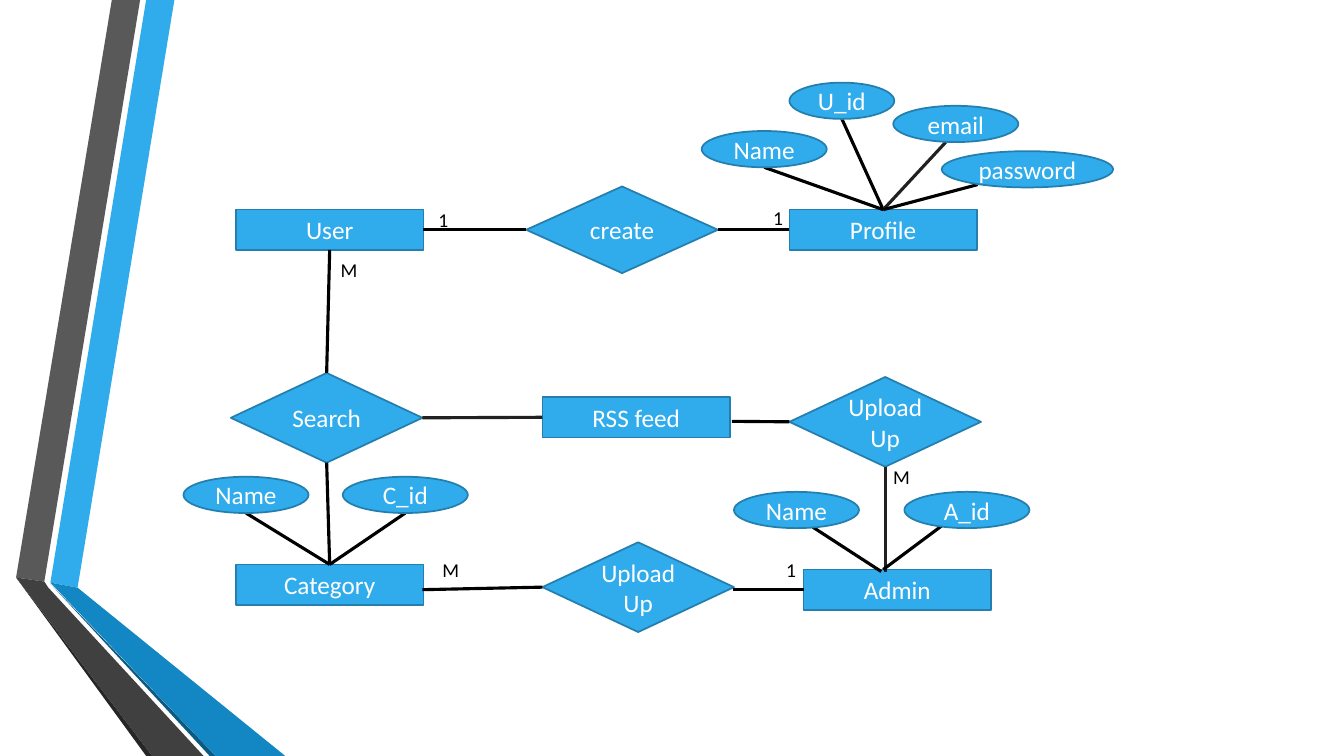
"""Entity-relationship diagram of an RSS feed application."""
from dataclasses import dataclass

import lxml.etree
import pptx
import pptx.dml.color
import pptx.enum.shapes
import pptx.enum.text
import pptx.oxml.ns
import pptx.util

SHAPE = pptx.enum.shapes.MSO_SHAPE
TOP, LEFT, BOTTOM, RIGHT = range(4)
CELL = pptx.util.Inches(0.1)
ENTITY_SIZE = (18.6, 4)
RELATION_SIZE = (19, 8.9)
ATTRIBUTE_WIDTH, ATTRIBUTE_HEIGHT = 12.4, 3.6
LABEL_SIZE = (4, 3.4)


@dataclass(frozen=True)
class Theme:
    """Colours, font and type sizes of the slide."""
    blue: str = "30ACEC"
    blue_edge: str = "247FAF"
    blue_fold: str = "1287C3"
    blue_shade: str = "0C5A82"
    grey: str = "595959"
    grey_fold: str = "404040"
    grey_shade: str = "262626"
    link: str = "000000"
    soft_link: str = "212121"
    node_text: str = "FFFFFF"
    font: str = "Calibri"
    node_size: float = 18
    label_size: float = 14
    edge_width: float = 1.25
    link_width: float = 2.25


THEME = Theme()


def rgb(code):
    """Turn a hex code into a colour."""
    return pptx.dml.color.RGBColor.from_string(code)


@dataclass(frozen=True)
class Box:
    """A region whose corner is given in grid columns and rows."""
    shapes: object
    column: float
    row: float

    def point(self, column, row):
        """Give the slide position of a grid point in the region."""
        return round((self.column + column) * CELL), round((self.row + row) * CELL)

    def area(self, column, row, width, height):
        """Give position and size of a part of the region."""
        return *self.point(column, row), round(width * CELL), round(height * CELL)


def write(paragraph, words, size, colour):
    """Add one run in the theme font."""
    run = paragraph.add_run()
    run.text = words
    run.font.name = THEME.font
    run.font.size = pptx.util.Pt(size)
    run.font.color.rgb = rgb(colour)


def node(box, preset, words, corner, size):
    """Draw a filled shape with centred words."""
    figure = box.shapes.add_shape(preset, *box.area(*corner, *size))
    figure.shadow.inherit = False
    figure.fill.solid()
    figure.fill.fore_color.rgb = rgb(THEME.blue)
    figure.line.color.rgb = rgb(THEME.blue_edge)
    figure.line.width = pptx.util.Pt(THEME.edge_width)
    frame = figure.text_frame
    frame.word_wrap = True
    frame.vertical_anchor = pptx.enum.text.MSO_ANCHOR.MIDDLE
    paragraph = frame.paragraphs[0]
    paragraph.alignment = pptx.enum.text.PP_ALIGN.CENTER
    write(paragraph, words, THEME.node_size, THEME.node_text)
    return figure


def entity(box, words, *corner):
    """Draw an entity rectangle."""
    return node(box, SHAPE.RECTANGLE, words, corner, ENTITY_SIZE)


def relation(box, words, *corner, size=RELATION_SIZE):
    """Draw a relationship diamond."""
    return node(box, SHAPE.DIAMOND, words, corner, size)


def link(box, start, end, colour=THEME.link):
    """Draw a line between grid points or (node, side) pairs."""
    connector = box.shapes.add_connector(
        pptx.enum.shapes.MSO_CONNECTOR.STRAIGHT, 0, 0, 0, 0)
    if isinstance(start[0], (int, float)):
        connector.begin_x, connector.begin_y = box.point(*start)
    else:
        connector.begin_connect(*start)
    if isinstance(end[0], (int, float)):
        connector.end_x, connector.end_y = box.point(*end)
    else:
        connector.end_connect(*end)
    connector.line.color.rgb = rgb(colour)
    connector.line.width = pptx.util.Pt(THEME.link_width)
    lxml.etree.SubElement(connector._element.spPr, pptx.oxml.ns.qn("a:effectLst"))


def attribute(box, words, column, row, owner, width=ATTRIBUTE_WIDTH,
              foot=(0.5, 1), colour=THEME.link):
    """Draw an attribute ellipse and the line from its foot to its owner."""
    start = column + foot[0] * width, row + foot[1] * ATTRIBUTE_HEIGHT
    link(box, start, owner, colour)
    node(box, SHAPE.OVAL, words, (column, row), (width, ATTRIBUTE_HEIGHT))


def cardinality(box, words, *corner):
    """Write a cardinality beside a line."""
    label = box.shapes.add_textbox(*box.area(*corner, *LABEL_SIZE))
    label.text_frame.word_wrap = True
    write(label.text_frame.paragraphs[0], words, THEME.label_size, THEME.link)


def ribbon(box):
    """Draw the two folded bands along the left edge."""
    bands = (
        (THEME.blue, ((5, 57.8), (7.7, 58.3), (17.3, 0), (14.5, 0))),
        (THEME.grey, ((13.9, 0), (11.1, 0), (1.6, 57.3), (4.4, 57.7))),
        (THEME.grey_shade, ((1.6, 57.3), (14.5, 75), (15.1, 75))),
        (THEME.blue_shade, ((5, 57.9), (20.8, 75), (21.4, 75))),
        (THEME.blue_fold, ((5, 57.8), (21.4, 75), (28.3, 75), (7.7, 58.3))),
        (THEME.grey_fold, ((20.2, 75), (4.8, 58.3), (4.4, 57.7), (1.6, 57.3), (15.1, 75))),
    )
    for colour, corners in bands:
        first, *others = (box.point(*corner) for corner in corners)
        builder = box.shapes.build_freeform(*first)
        builder.add_line_segments(others, close=True)
        band = builder.convert_to_shape()
        band.shadow.inherit = False
        band.fill.solid()
        band.fill.fore_color.rgb = rgb(colour)
        band.line.fill.background()


def account(box):
    """Draw the user and profile, and return the user."""
    user = entity(box, "User", 5.4, 12.8)
    create = relation(box, "create", 34.2, 10.5, size=(19, 8.6))
    profile = entity(box, "Profile", 60.3, 12.8)
    link(box, (user, RIGHT), (create, LEFT))
    link(box, (create, RIGHT), (profile, LEFT))
    owner = profile, TOP
    attribute(box, "U_id", 60.3, 0.2, owner, width=10.4)
    attribute(box, "email", 70.6, 2.5, owner, foot=(0.42, 1), colour=THEME.soft_link)
    attribute(box, "password", 75.4, 7, owner, width=17, foot=(0.21, 0.92))
    attribute(box, "Name", 51.6, 5, owner)
    cardinality(box, "1", 24.5, 12.1)
    cardinality(box, "1", 57.7, 11.9)
    cardinality(box, "M", 14.8, 17.1)
    return user


def feed(box, user):
    """Draw the search and feed, and return both relationships."""
    search = relation(box, "Search", 4.9, 0)
    upload = relation(box, "Upload Up", 60.3, 0.4)
    rss = entity(box, "RSS feed", 35.8, 2.4)
    link(box, (user, BOTTOM), (search, TOP))
    link(box, (search, RIGHT), (rss, LEFT), THEME.soft_link)
    link(box, (54.6, 4.8), (upload, LEFT))
    cardinality(box, "M", 69.6, 8.6)
    return search, upload


def catalogue(box, search, feed_upload):
    """Draw the category and admin below the feed."""
    category = entity(box, "Category", 5.4, 9)
    upload = relation(box, "Upload Up", 35.8, 6.8)
    admin = entity(box, "Admin", 61.7, 9.5)
    link(box, (search, BOTTOM), (category, TOP))
    link(box, (23.9, 11.5), (upload, LEFT))
    link(box, (54.7, 11.5), (admin, LEFT))
    link(box, (feed_upload, BOTTOM), (69.8, 9.7), THEME.soft_link)
    attribute(box, "C_id", 16, 0.3, (category, TOP))
    attribute(box, "Name", 0.2, 0.3, (category, TOP))
    attribute(box, "Name", 54.8, 1.8, (69.4, 9.7), foot=(0.63, 0.97))
    attribute(box, "A_id", 71.7, 1.8, (69.6, 9.5), foot=(0.34, 0.83))
    cardinality(box, "M", 24.9, 7.9)
    cardinality(box, "1", 59, 7.9)


def main():
    """Build the slide and save it."""
    deck = pptx.Presentation()
    deck.slide_width = pptx.util.Inches(13.33)
    deck.slide_height = pptx.util.Inches(7.5)
    shapes = deck.slides.add_slide(deck.slide_layouts[6]).shapes
    ribbon(Box(shapes, 0, 0))
    user = account(Box(shapes, 18, 8))
    search, upload = feed(Box(shapes, 18, 37), user)
    catalogue(Box(shapes, 18, 47), search, upload)
    deck.save("out.pptx")


if __name__ == "__main__":
    main()
